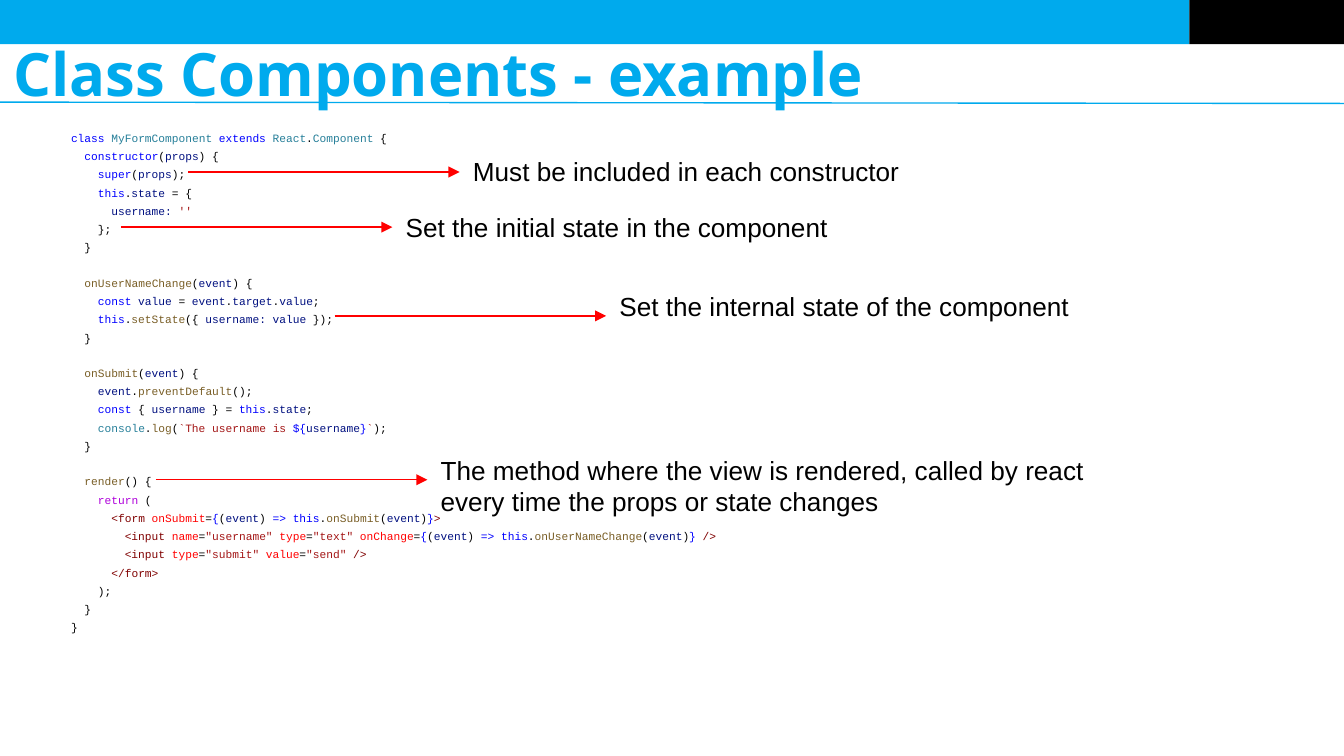
from pptx import Presentation
from pptx.dml.color import RGBColor
from pptx.enum.shapes import MSO_CONNECTOR, MSO_SHAPE
from pptx.enum.text import MSO_ANCHOR
from pptx.oxml.ns import qn
from pptx.util import Emu, Inches, Pt
from lxml.etree import SubElement

W = 10
H = W * 9 / 16
BLUE, BLACK, RED = "00AAED", "000000", "FF0000"
BAR_H, BAR_SPLIT = 0.33, 8.85
TITLE = "Class Components - example"

# Token kinds, used in CODE as ~kind:text~
SYNTAX = {
    "key": "0000FF", "type": "267F99", "var": "001080", "fn": "795E26",
    "str": "A31515", "ctl": "AF00DB", "tag": "800000", "attr": "FF0000",
}
# Blocks of (indent level, line)
CODE = [
    [
        (0, "~key:class~ ~type:MyFormComponent~ ~key:extends~ ~type:React~.~type:Component~ {"),
        (1, "~key:constructor~(~var:props~) {"),
        (2, "~key:super~(~var:props~);"),
        (2, "~key:this~.~var:state~ = {"),
        (3, "~var:username:~ ~str:''~"),
        (2, "};"),
        (1, "}"),
    ],
    [
        (1, "~fn:onUserNameChange~(~var:event~) {"),
        (2, "~key:const~ ~var:value~ = ~var:event~.~var:target~.~var:value~;"),
        (2, "~key:this~.~fn:setState~({ ~var:username:~ ~var:value~ });"),
        (1, "}"),
    ],
    [
        (1, "~fn:onSubmit~(~var:event~) {"),
        (2, "~var:event~.~fn:preventDefault~();"),
        (2, "~key:const~ { ~var:username~ } = ~key:this~.~var:state~;"),
        (2, "~type:console~.~fn:log~(~str:`The username is ~~key:${~~var:username~~key:}~~str:`~);"),
        (1, "}"),
    ],
    [
        (1, "~fn:render~() {"),
        (2, "~ctl:return~ ("),
        (3, "~tag:<form~ ~attr:onSubmit~=~key:{~(~var:event~) ~key:=>~ "
            "~key:this~.~fn:onSubmit~(~var:event~)~key:}~~tag:>~"),
        (4, '~tag:<input~ ~attr:name~=~str:"username"~ ~attr:type~=~str:"text"~ '
            "~attr:onChange~=~key:{~(~var:event~) ~key:=>~ "
            "~key:this~.~fn:onUserNameChange~(~var:event~)~key:}~ ~tag:/>~"),
        (4, '~tag:<input~ ~attr:type~=~str:"submit"~ ~attr:value~=~str:"send"~ ~tag:/>~'),
        (3, "~tag:</form>~"),
        (2, ");"),
        (1, "}"),
        (0, "}"),
    ],
]
CODE_SIZE, CODE_SPACING = 6, 1.36
BLOCK_GAP = 9.2                 # points, about one code line
INDENT = 2 * 0.6 * CODE_SIZE    # two monospaced characters, in points

# Arrow start x, arrow y, label width, label height, label
NOTES = [
    (0.90, 1.69, 3.56, 0.44, "Set the initial state in the component"),
    (1.40, 1.28, 3.56, 0.44, "Must be included in each constructor"),
    (1.16, 3.57, 5.32, 0.58, "The method where the view is rendered, called by react "
                             "every time the props or state changes"),
    (2.49, 2.35, 3.61, 0.58, "Set the internal state of the component"),
]
ARROW_LEN = 2.02


def rgb(color):
    return RGBColor.from_string(color)


def add_bar(s, x, w, color):
    sp = s.shapes.add_shape(MSO_SHAPE.RECTANGLE, Inches(x), 0, Inches(w), Inches(BAR_H))
    sp.shadow.inherit = False
    sp.fill.solid()
    sp.fill.fore_color.rgb = rgb(color)
    sp.line.fill.background()


def add_line(s, x1, y1, x2, y2, color, arrow=False):
    ln = s.shapes.add_connector(MSO_CONNECTOR.STRAIGHT, *map(Inches, (x1, y1, x2, y2)))
    ln.line.color.rgb = rgb(color)
    ln.line.width = Pt(0.75)
    if arrow:
        SubElement(ln.line._get_or_add_ln(), qn("a:tailEnd"), type="triangle")
    SubElement(ln._element.spPr, qn("a:effectLst"))


def add_text_frame(s, x, y, w, h, inset_y=0.1):
    tf = s.shapes.add_textbox(*map(Inches, (x, y, w, h))).text_frame
    tf.word_wrap = True
    tf.margin_left = tf.margin_right = Inches(0.1)
    tf.margin_top = tf.margin_bottom = Inches(inset_y)
    return tf


def set_font(p, name, size, color, bold=False):
    p.font.name, p.font.size, p.font.bold = name, Pt(size), bold
    p.font.color.rgb = rgb(color)


def add_tokens(p, line):
    """Split a marked-up line into runs, colouring every ~kind:text~ token."""
    for i, part in enumerate(line.split("~")):
        if not part:
            continue
        kind, _, token = part.partition(":") if i % 2 else ("", "", part)
        r = p.add_run()
        r.text = token
        r.font.color.rgb = rgb(SYNTAX.get(kind, BLACK))


def add_code(s):
    tf = add_text_frame(s, 0.43, 0.84, 9.28, 4.7)
    p = tf.paragraphs[0]
    for b, block in enumerate(CODE):
        for n, (level, line) in enumerate(block):
            if b or n:
                p = tf.add_paragraph()
            set_font(p, "Courier New", CODE_SIZE, BLACK)
            p.line_spacing = CODE_SPACING
            p.space_before = Pt(BLOCK_GAP if b and n == 0 else 0)
            p._p.get_or_add_pPr().set("marL", str(Emu(Pt(INDENT * level))))
            add_tokens(p, line)


def main():
    prs = Presentation()
    prs.slide_width, prs.slide_height = Inches(W), Inches(H)
    s = prs.slides.add_slide(prs.slide_layouts[6])

    add_bar(s, 0, BAR_SPLIT, BLUE)
    add_bar(s, BAR_SPLIT, W - BAR_SPLIT, BLACK)
    add_line(s, 0, 0.76, W, 0.77, BLUE)

    tf = add_text_frame(s, 0, 0.32, W, 0.44, inset_y=0.05)
    tf.vertical_anchor = MSO_ANCHOR.MIDDLE
    tf.text = TITLE
    set_font(tf.paragraphs[0], "Open Sans", 32, BLUE, bold=True)

    add_code(s)

    for x, y, w, h, label in NOTES:
        end = x + ARROW_LEN
        add_line(s, x, y, end, y, RED, arrow=True)
        tf = add_text_frame(s, end, y - h / 2, w, h)
        tf.text = label
        set_font(tf.paragraphs[0], "Arial", 14, BLACK)

    prs.save("out.pptx")


if __name__ == "__main__":
    main()
